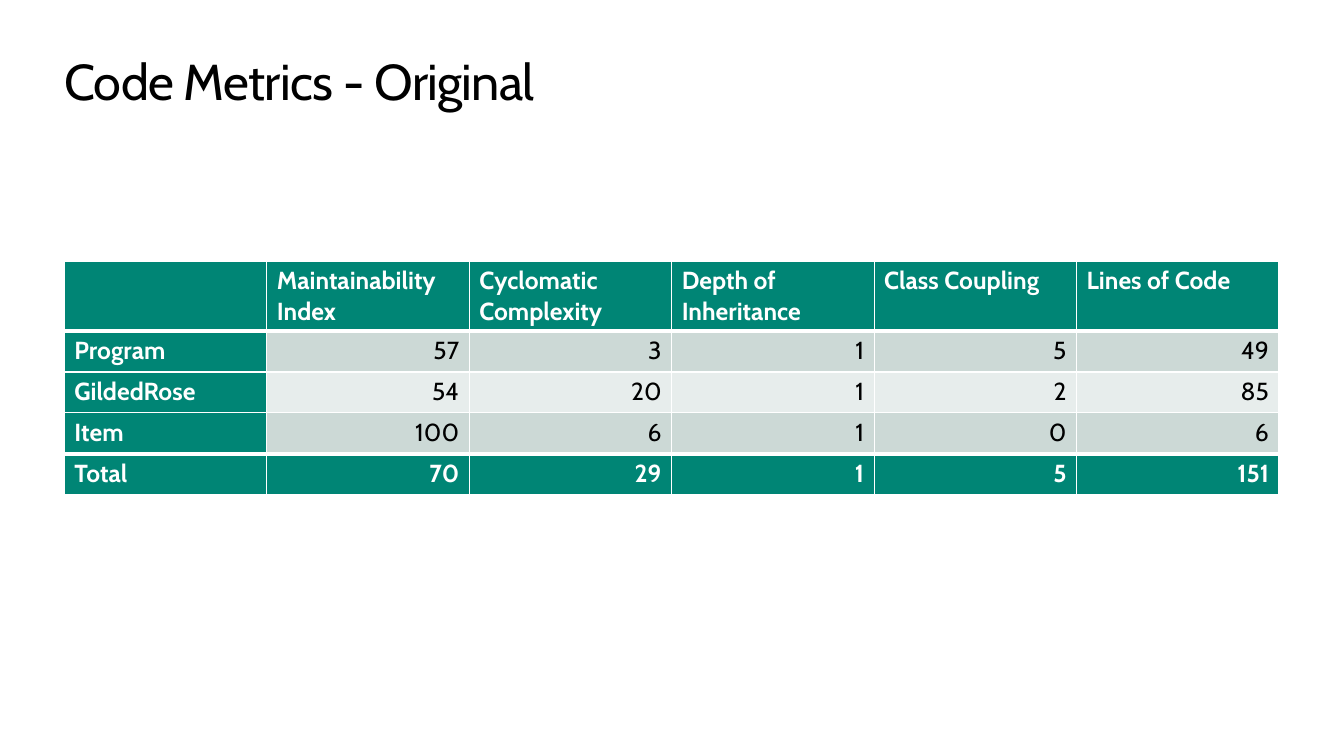
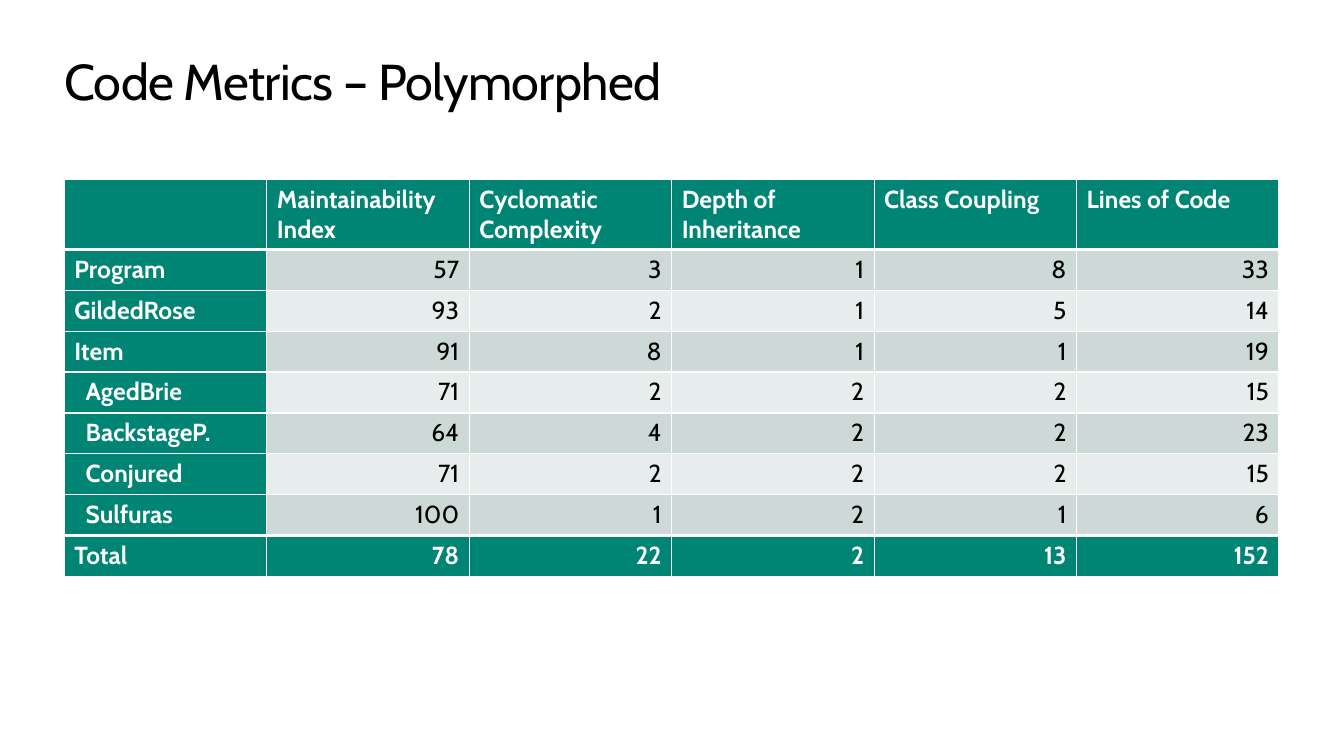
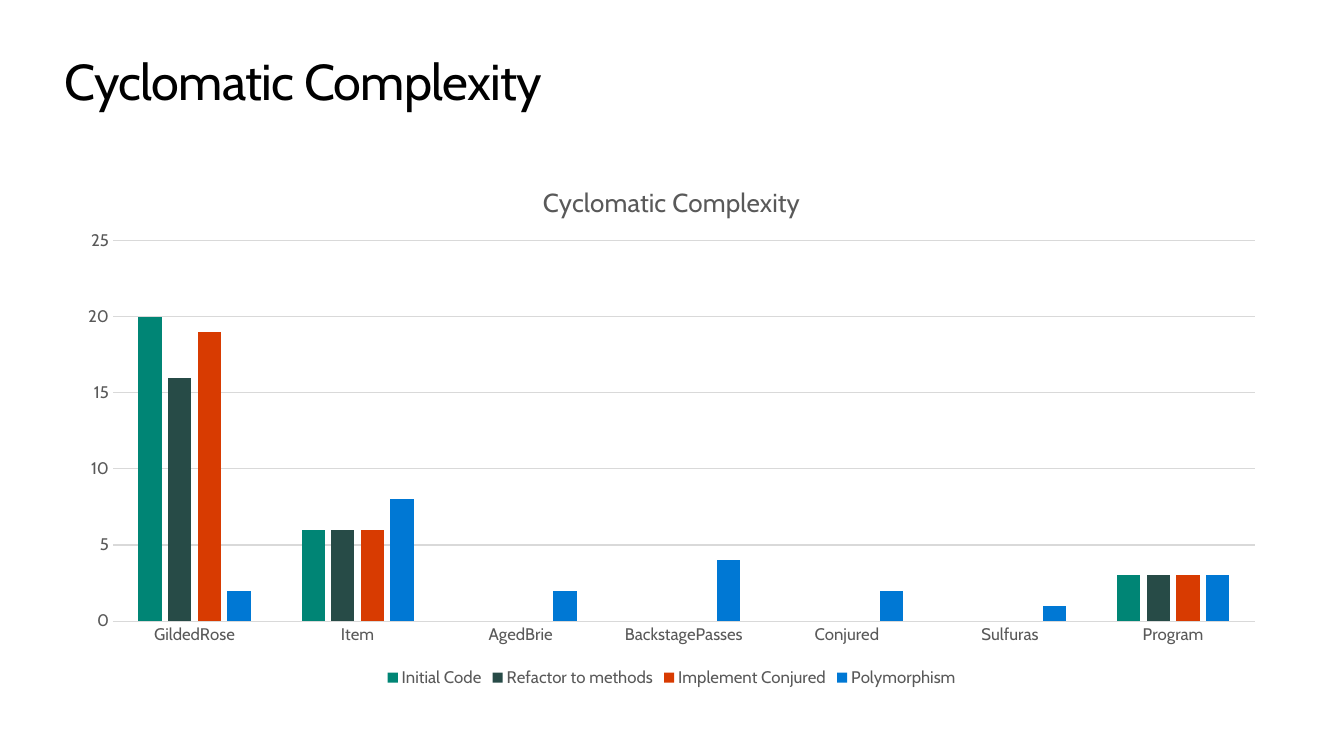
from dataclasses import dataclass

from lxml.etree import SubElement
from pptx import Presentation
from pptx.chart.data import CategoryChartData
from pptx.dml.color import RGBColor
from pptx.enum.chart import XL_CHART_TYPE as ChartType
from pptx.enum.chart import XL_LEGEND_POSITION as LegendPosition
from pptx.enum.chart import XL_TICK_MARK as TickMark
from pptx.enum.text import MSO_ANCHOR as Anchor
from pptx.enum.text import MSO_AUTO_SIZE as AutoSize
from pptx.enum.text import PP_ALIGN as Align
from pptx.oxml import parse_xml
from pptx.oxml.ns import nsdecls, qn
from pptx.util import Pt


@dataclass(frozen=True)
class Theme:
    font: str = "Cabin"
    title_size: float = 36
    table_size: float = 17.6
    chart_title_size: float = 18.6
    chart_size: float = 12
    black: str = "000000"
    white: str = "FFFFFF"
    green: str = "008575"
    bands: tuple = ("CCD9D6", "E7EDEC")
    series: tuple = ("008575", "274B47", "D83B01", "0078D4")
    label: str = "595959"
    grid: str = "D9D9D9"


THEME = Theme()

# Page geometry, in points
SLIDE_WIDTH, SLIDE_HEIGHT = 960, 540
LEFT, WIDTH = 46, 867.6
TITLE_TOP, TITLE_HEIGHT = 36, 44
HEADER_HEIGHT, ROW_HEIGHT = 50, 29.2
CELL_MARGIN, CHILD_INDENT = 7.2, 8
THIN, THICK = 1, 3
CHART_TOP, CHART_HEIGHT = 113, 381

METRICS = ("Maintainability Index", "Cyclomatic Complexity",
           "Depth of Inheritance", "Class Coupling", "Lines of Code")
SUBCLASSES = ("AgedBrie", "BackstageP.", "Conjured", "Sulfuras")

METRIC_SLIDES = [
    {"title": "Code Metrics - Original", "top": 186.5, "rows": [
        ("Program", 57, 3, 1, 5, 49),
        ("GildedRose", 54, 20, 1, 2, 85),
        ("Item", 100, 6, 1, 0, 6),
        ("Total", 70, 29, 1, 5, 151),
    ]},
    {"title": "Code Metrics – Polymorphed", "top": 128.2, "rows": [
        ("Program", 57, 3, 1, 8, 33),
        ("GildedRose", 93, 2, 1, 5, 14),
        ("Item", 91, 8, 1, 1, 19),
        ("AgedBrie", 71, 2, 2, 2, 15),
        ("BackstageP.", 64, 4, 2, 2, 23),
        ("Conjured", 71, 2, 2, 2, 15),
        ("Sulfuras", 100, 1, 2, 1, 6),
        ("Total", 78, 22, 2, 13, 152),
    ]},
]

COMPLEXITY = "Cyclomatic Complexity"
CLASSES = ("GildedRose", "Item", "AgedBrie", "BackstagePasses",
           "Conjured", "Sulfuras", "Program")
STAGES = {
    "Initial Code": (20, 6, None, None, None, None, 3),
    "Refactor to methods": (16, 6, None, None, None, None, 3),
    "Implement Conjured": (19, 6, None, None, None, None, 3),
    "Polymorphism": (2, 8, 2, 4, 2, 1, 3),
}


def rgb(color):
    return RGBColor.from_string(color)


def set_all(target, values):
    for name, value in values.items():
        setattr(target, name, value)


def style_font(font, size, color, bold=False):
    set_all(font, {"name": THEME.font, "size": Pt(size), "bold": bold})
    font.color.rgb = rgb(color)


def add_titled_slide(deck, text):
    slide = deck.slides.add_slide(deck.slide_layouts[5])
    title = slide.shapes.title
    set_all(title, {"left": Pt(LEFT), "top": Pt(TITLE_TOP),
                    "width": Pt(WIDTH), "height": Pt(TITLE_HEIGHT)})
    frame = title.text_frame
    set_all(frame, {"margin_left": 0, "margin_top": 0, "margin_right": 0,
                    "margin_bottom": 0, "word_wrap": True,
                    "vertical_anchor": Anchor.TOP,
                    "auto_size": AutoSize.SHAPE_TO_FIT_TEXT})
    paragraph = frame.paragraphs[0]
    paragraph.alignment = Align.LEFT
    run = paragraph.add_run()
    run.text = text
    style_font(run.font, THEME.title_size, THEME.black)
    run.font._element.set("spc", "-50")
    return slide


def add_borders(cell, top, bottom):
    properties = cell._tc.get_or_add_tcPr()
    for side, weight in (("L", THIN), ("R", THIN), ("T", top), ("B", bottom)):
        line = SubElement(properties, qn(f"a:ln{side}"), w=str(Pt(weight)))
        fill = SubElement(line, qn("a:solidFill"))
        SubElement(fill, qn("a:srgbClr"), val=THEME.white)


def add_metrics_table(slide, top, rows):
    lines = [("", *METRICS), *rows]
    last = len(lines) - 1
    height = HEADER_HEIGHT + ROW_HEIGHT * last
    table = slide.shapes.add_table(
        len(lines), len(lines[0]), Pt(LEFT), Pt(top), Pt(WIDTH), Pt(height)).table
    set_all(table, {"first_col": True, "last_row": True, "horz_banding": False})
    for column in table.columns:
        column.width = Pt(WIDTH / len(lines[0]))

    heavy_edges = (1, last)
    for r, line in enumerate(lines):
        table.rows[r].height = Pt(ROW_HEIGHT if r else HEADER_HEIGHT)
        top_weight, bottom_weight = (
            THICK if edge in heavy_edges else THIN for edge in (r, r + 1))
        for c, value in enumerate(line):
            cell = table.cell(r, c)
            strong = r in (0, last) or c == 0
            add_borders(cell, top_weight, bottom_weight)
            cell.fill.solid()
            cell.fill.fore_color.rgb = rgb(
                THEME.green if strong else THEME.bands[(r - 1) % 2])
            if value in SUBCLASSES:
                cell.margin_left = Pt(CELL_MARGIN + CHILD_INDENT)
            cell.text = str(value)
            paragraph = cell.text_frame.paragraphs[0]
            paragraph.alignment = Align.RIGHT if r and c else Align.LEFT
            style_font(paragraph.font, THEME.table_size,
                       THEME.white if strong else THEME.black, strong)
            for run in paragraph.runs:
                style_font(run.font, THEME.table_size,
                           THEME.white if strong else THEME.black, strong)


def place_in_chart(part, index, **fractions):
    """Fix a chart part's place, in fractions of the chart's size."""
    for layout in part.findall(qn("c:layout")):
        part.remove(layout)
    settings = {"xMode": "edge", "yMode": "edge", **fractions}
    if "w" in fractions:
        settings = {"layoutTarget": "inner", **settings}
    children = "".join(f'<c:{name} val="{value}"/>' for name, value in settings.items())
    part.insert(index, parse_xml(
        f'<c:layout {nsdecls("c")}><c:manualLayout>{children}</c:manualLayout></c:layout>'))


def style_grid_line(line):
    line.width = Pt(0.75)
    line.color.rgb = rgb(THEME.grid)


def add_complexity_chart(slide):
    data = CategoryChartData()
    data.categories = CLASSES
    for stage, values in STAGES.items():
        data.add_series(stage, values)
    chart = slide.shapes.add_chart(
        ChartType.COLUMN_CLUSTERED, Pt(LEFT), Pt(CHART_TOP), Pt(WIDTH),
        Pt(CHART_HEIGHT), data).chart
    style_font(chart.font, THEME.chart_size, THEME.label)

    title = chart.chart_title
    title.text_frame.text = COMPLEXITY
    style_font(title.text_frame.paragraphs[0].runs[0].font,
               THEME.chart_title_size, THEME.label)
    place_in_chart(title._element, 1, x=0.39, y=0.04)
    place_in_chart(chart._chartSpace.chart.plotArea, 0, x=0.04, y=0.155, w=0.94, h=0.713)

    chart.has_legend = True
    set_all(chart.legend, {"position": LegendPosition.BOTTOM, "include_in_layout": False})
    style_font(chart.legend.font, THEME.chart_size, THEME.label)

    plot = chart.plots[0]
    set_all(plot, {"gap_width": 219, "overlap": -27, "vary_by_categories": False})
    for series, color in zip(plot.series, THEME.series):
        series.format.fill.solid()
        series.format.fill.fore_color.rgb = rgb(color)

    for axis in (chart.category_axis, chart.value_axis):
        set_all(axis, {"major_tick_mark": TickMark.NONE, "minor_tick_mark": TickMark.NONE})
        style_font(axis.tick_labels.font, THEME.chart_size, THEME.label)
    style_grid_line(chart.category_axis.format.line)
    set_all(chart.value_axis, {"minimum_scale": 0, "maximum_scale": 25, "major_unit": 5})
    chart.value_axis.format.line.fill.background()
    style_grid_line(chart.value_axis.major_gridlines.format.line)


def main():
    deck = Presentation()
    set_all(deck, {"slide_width": Pt(SLIDE_WIDTH), "slide_height": Pt(SLIDE_HEIGHT)})
    for metrics in METRIC_SLIDES:
        slide = add_titled_slide(deck, metrics["title"])
        add_metrics_table(slide, metrics["top"], metrics["rows"])
    add_complexity_chart(add_titled_slide(deck, COMPLEXITY))
    deck.save("out.pptx")


if __name__ == "__main__":
    main()
